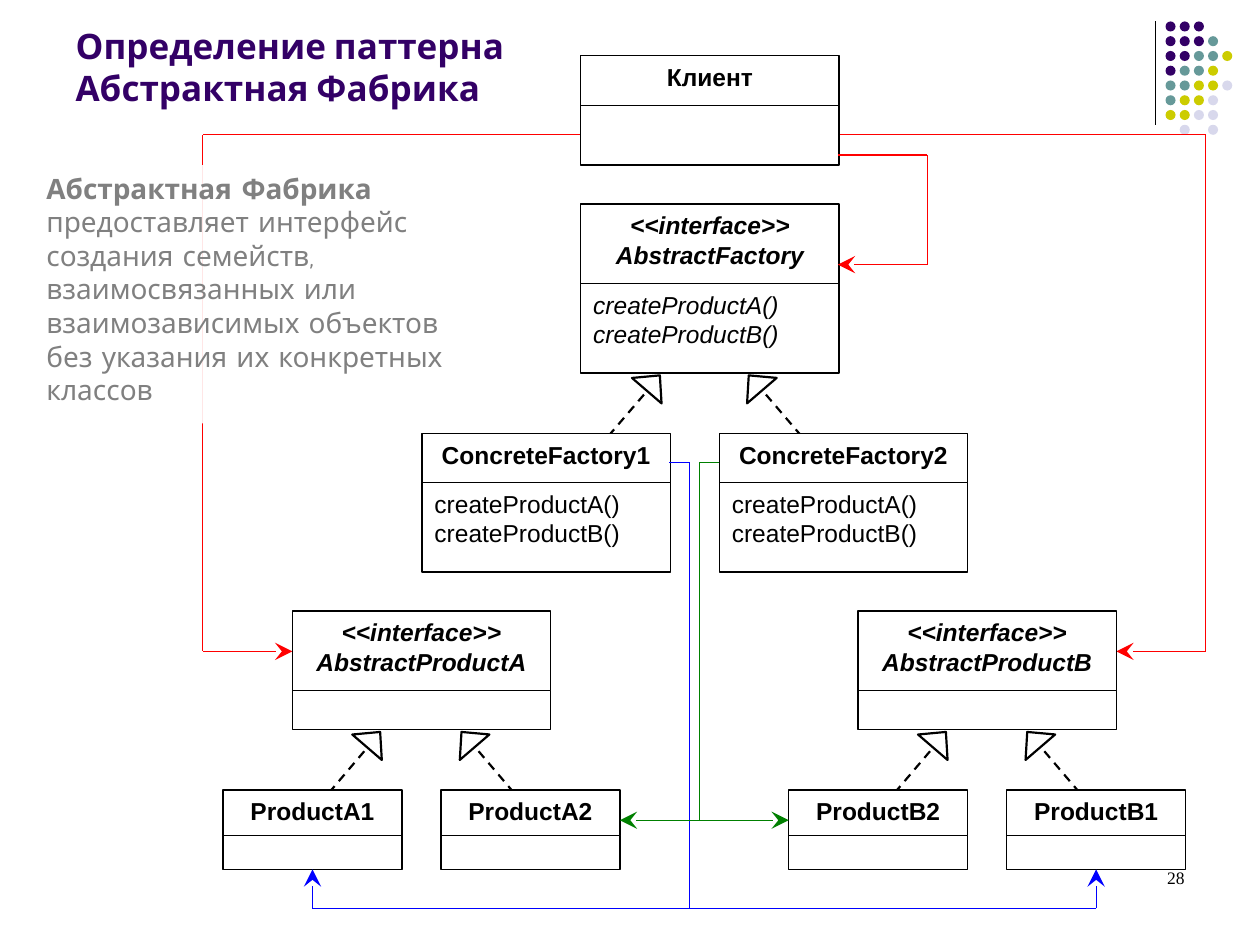
import pptx
import pptx.util
import pptx.dml.color
import pptx.enum.dml
import pptx.enum.shapes
import pptx.enum.text
import pptx.oxml
import pptx.oxml.ns

Inches = pptx.util.Inches
Pt = pptx.util.Pt
RGBColor = pptx.dml.color.RGBColor
KIND = pptx.enum.shapes.MSO_SHAPE
ALIGN = pptx.enum.text.PP_ALIGN

BLACK = RGBColor(0, 0, 0)
WHITE = RGBColor(255, 255, 255)
RED = RGBColor(255, 0, 0)
GREEN = RGBColor(0, 128, 0)
BLUE = RGBColor(0, 0, 255)
GRAY = RGBColor(128, 128, 128)
PURPLE = RGBColor(0x33, 0x00, 0x66)
TEAL = RGBColor(0x66, 0x99, 0x99)
YELLOW = RGBColor(0xCC, 0xCC, 0x00)
LILAC = RGBColor(0xD8, 0xD8, 0xEC)

deck = pptx.Presentation()
deck.slide_width, deck.slide_height = Inches(10), Inches(7.5)
slide = deck.slides.add_slide(deck.slide_layouts[5])
shapes = slide.shapes


def write(para, text, font="Arial", size=14, color=BLACK, bold=False,
          italic=False, align=ALIGN.LEFT):
    para.alignment = align
    run = para.add_run()
    run.text = text
    run.font.name = font
    run.font.size = Pt(size)
    run.font.color.rgb = color
    run.font.bold = bold
    run.font.italic = italic


def link(points, color=BLACK, width=0.75, dash=False, head=False):
    for start, end in zip(points, points[1:]):
        line = shapes.add_connector(
            pptx.enum.shapes.MSO_CONNECTOR.STRAIGHT,
            *[Inches(v) for v in start + end])
        line.line.color.rgb = color
        line.line.width = Pt(width)
        if dash:
            line.line.dash_style = pptx.enum.dml.MSO_LINE.DASH
        props = line._element.spPr
        props.append(pptx.oxml.parse_xml(
            "<a:effectLst %s/>" % pptx.oxml.ns.nsdecls("a")))
        if head and end == points[-1]:
            line.line._get_or_add_ln().append(pptx.oxml.parse_xml(
                '<a:tailEnd %s type="stealth" w="lg" len="lg"/>'
                % pptx.oxml.ns.nsdecls("a")))


title = shapes.title
title.left, title.top = Inches(0.5), Inches(0.13)
title.width, title.height = Inches(8.6), Inches(0.78)
frame = title.text_frame
frame.auto_size = pptx.enum.text.MSO_AUTO_SIZE.NONE
frame.vertical_anchor = pptx.enum.text.MSO_ANCHOR.BOTTOM
para = frame.paragraphs[0]
look = dict(font="Cabin", size=20, color=PURPLE, bold=True)
write(para, "Определение паттерна", **look)
para.add_line_break()
write(para, "Абстрактная Фабрика", **look)

link([(9.17, 0.17), (9.17, 0.99)])
hues = {"P": PURPLE, "T": TEAL, "Y": YELLOW, "L": LILAC}
dots = ["PPP", "PPPT", "PPTTY", "PTTY", "TTYYL", "TYYL", "YYLL", " L L"]
for row, marks in enumerate(dots):
    for col, mark in enumerate(marks):
        if mark in hues:
            dot = shapes.add_shape(
                KIND.OVAL, Inches(9.25 + col * 0.45 / 4),
                Inches(0.17 + row * 0.82 / 7), Inches(0.08), Inches(0.08))
            dot.shadow.inherit = False
            dot.fill.solid()
            dot.fill.fore_color.rgb = hues[mark]
            dot.line.fill.background()

link([(4.61, 1.07), (1.61, 1.07), (1.61, 5.17), (2.32, 5.17)], RED, head=True)
link([(6.57, 1.07), (9.57, 1.07), (9.57, 5.17), (8.86, 5.17)], RED, head=True)

heirs = [(5.19, 3.04, 4.16, 4.24), (6, 3.04, 7.02, 4.23)]
for left in (2.97, 7.46):
    heirs += [(left, 5.87, left - 0.74, 6.74),
              (left + 0.75, 5.87, left + 1.49, 6.74)]
for left, top, right, base in heirs:
    link([(left, top), (right, base)], width=1.25, dash=True)
    tip = shapes.add_shape(KIND.ISOSCELES_TRIANGLE, Inches(left - 0.16),
                           Inches(top - 0.08), Inches(0.31), Inches(0.16))
    tip.rotation = 40.7 if right < left else 319.3
    tip.shadow.inherit = False
    tip.fill.solid()
    tip.fill.fore_color.rgb = WHITE
    tip.line.color.rgb = BLACK
    tip.line.width = Pt(1.25)

face = "<<interface>>"
calls = ["createProductA()", "createProductB()"]
boxes = [
    (4.61, 0.44, 2.05, 0.4, 0.47, ["Клиент"], []),
    (4.61, 1.62, 2.05, 0.63, 0.71, [face, "AbstractFactory"], calls),
    (3.35, 3.44, 1.97, 0.39, 0.71, ["ConcreteFactory1"], calls),
    (5.71, 3.44, 1.97, 0.39, 0.71, ["ConcreteFactory2"], calls),
    (2.32, 4.85, 2.05, 0.63, 0.31, [face, "AbstractProductA"], []),
    (6.81, 4.85, 2.05, 0.63, 0.31, [face, "AbstractProductB"], []),
]
for left, name in ((1.77, "A1"), (3.5, "A2"), (6.26, "B2"), (7.99, "B1")):
    boxes.append((left, 6.27, 1.42, 0.36, 0.27, ["Product" + name], []))
for left, top, width, head, body, names, ops in boxes:
    slant = face in names
    parts = [(top, head, names, True, ALIGN.CENTER),
             (top + head, body, ops, False, ALIGN.LEFT)]
    for y, height, lines, bold, align in parts:
        box = shapes.add_shape(KIND.RECTANGLE, Inches(left), Inches(y),
                               Inches(width), Inches(height))
        box.shadow.inherit = False
        box.fill.solid()
        box.fill.fore_color.rgb = WHITE
        box.line.color.rgb = BLACK
        box.line.width = Pt(0.75)
        frame = box.text_frame
        frame.vertical_anchor = pptx.enum.text.MSO_ANCHOR.TOP
        for i, text in enumerate(lines):
            para = frame.add_paragraph() if i else frame.paragraphs[0]
            write(para, text, bold=bold, italic=slant, align=align)

link([(6.65, 1.23), (7.36, 1.23), (7.36, 2.1), (6.65, 2.1)], RED, head=True)
link([(5.31, 3.67), (5.47, 3.67), (5.47, 7.21), (2.48, 7.21), (2.48, 6.9)],
     BLUE, head=True)
link([(5.47, 7.21), (8.7, 7.21), (8.7, 6.9)], BLUE, head=True)
link([(5.71, 3.67), (5.55, 3.67), (5.55, 6.51), (4.92, 6.51)],
     GREEN, head=True)
link([(5.55, 6.51), (6.26, 6.51)], GREEN, head=True)

note = shapes.add_shape(KIND.RECTANGLE, Inches(0.27), Inches(1.31),
                        Inches(3.46), Inches(2.05))
note.shadow.inherit = False
note.fill.solid()
note.fill.fore_color.rgb = WHITE
tint = note._element.spPr.find(".//" + pptx.oxml.ns.qn("a:srgbClr"))
tint.append(pptx.oxml.parse_xml(
    '<a:alpha %s val="90000"/>' % pptx.oxml.ns.nsdecls("a")))
note.line.fill.background()
frame = note.text_frame
frame.vertical_anchor = pptx.enum.text.MSO_ANCHOR.TOP
para = frame.paragraphs[0]
look = dict(font="Comic Neue", size=16, color=GRAY)
write(para, "Абстрактная Фабрика", bold=True, **look)
write(para, " предоставляет интерфейс создания семейств, взаимосвязанных или "
      "взаимозависимых объектов без указания их конкретных классов", **look)

page = shapes.add_textbox(Inches(7.17), Inches(6.83), Inches(2.33), Inches(0.5))
page.text_frame.word_wrap = True
write(page.text_frame.paragraphs[0], "28", font="Times New Roman", size=10,
      align=ALIGN.RIGHT)

deck.save("out.pptx")
